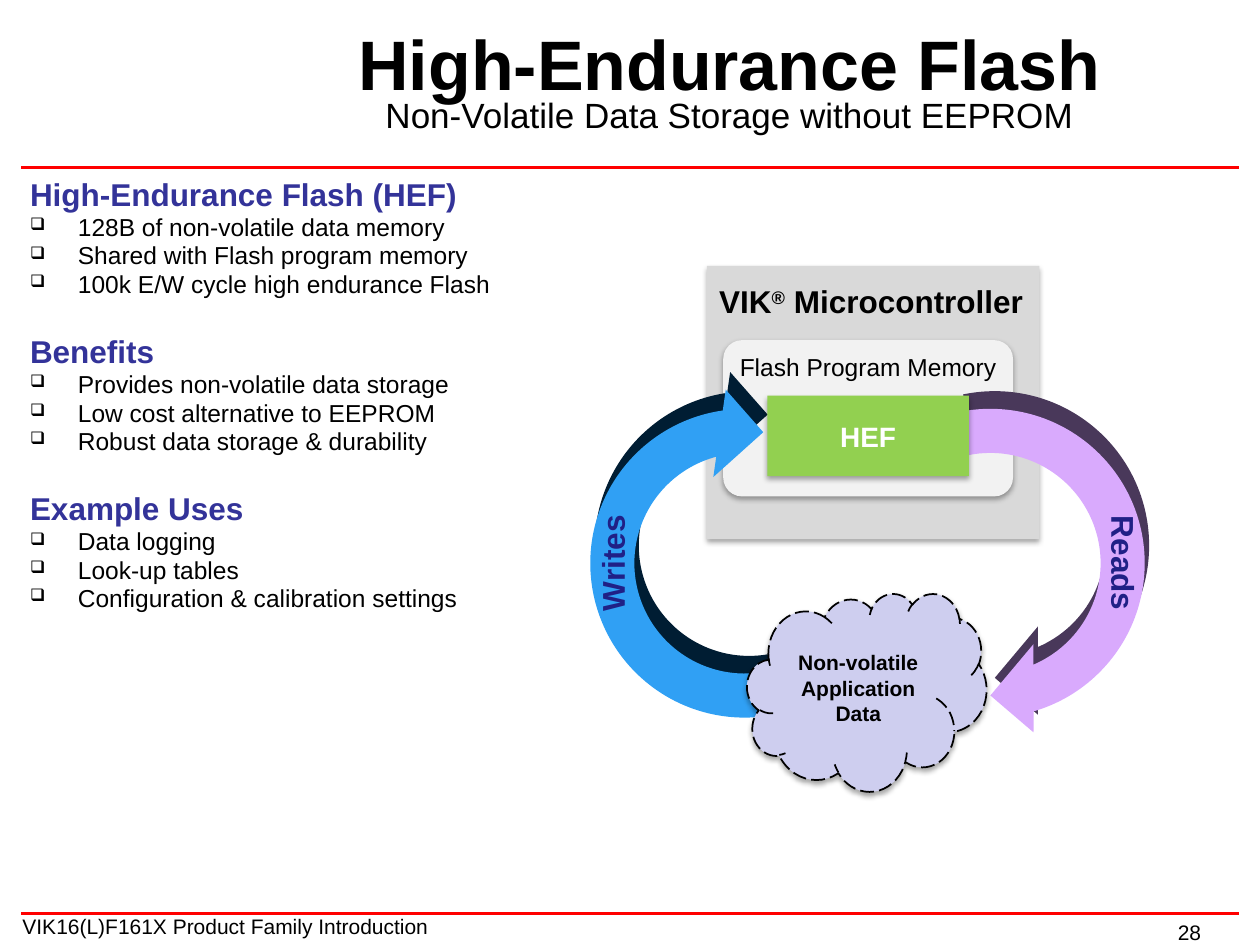
from lxml import etree
from pptx import Presentation
from pptx.dml.color import RGBColor
from pptx.enum.dml import MSO_LINE
from pptx.enum.shapes import MSO_CONNECTOR, MSO_SHAPE
from pptx.enum.text import MSO_ANCHOR, PP_ALIGN
from pptx.oxml.ns import qn
from pptx.util import Inches, Pt

STRAIGHT = MSO_CONNECTOR.STRAIGHT
RECTANGLE, ROUNDED = MSO_SHAPE.RECTANGLE, MSO_SHAPE.ROUNDED_RECTANGLE
CIRCULAR_ARROW, CLOUD = MSO_SHAPE.CIRCULAR_ARROW, MSO_SHAPE.CLOUD
LONG_DASH = MSO_LINE.LONG_DASH
TOP, MIDDLE = MSO_ANCHOR.TOP, MSO_ANCHOR.MIDDLE
LEFT, CENTER = PP_ALIGN.LEFT, PP_ALIGN.CENTER

SECTIONS = [
    ("High-Endurance Flash (HEF)",
     ["128B of non-volatile data memory", "Shared with Flash program memory",
      "100k E/W cycle high endurance Flash"]),
    ("Benefits",
     ["Provides non-volatile data storage", "Low cost alternative to EEPROM",
      "Robust data storage & durability"]),
    ("Example Uses",
     ["Data logging", "Look-up tables", "Configuration & calibration settings"]),
]


def color(value):
    return RGBColor.from_string(value)


def inches(box):
    return [Inches(value) for value in box]


def style(font, size, fill="000000", bold=False):
    font.name, font.size, font.bold = "Arial", Pt(size), bold
    font.color.rgb = color(fill)


def add_effects(shape_properties, shadow=False):
    """Set the effect list: a soft shadow straight below, or nothing."""
    effects = etree.SubElement(shape_properties, qn("a:effectLst"))
    if shadow:
        outer = etree.SubElement(effects, qn("a:outerShdw"), blurRad=str(Pt(3.1)),
                                 dist=str(Pt(1.8)), dir="5400000", rotWithShape="0")
        black = etree.SubElement(outer, qn("a:srgbClr"), val="000000")
        etree.SubElement(black, qn("a:alpha"), val="35000")


def add_rule(page, y):
    rule = page.shapes.add_connector(STRAIGHT, *inches((0.17, y, 9.83, y)))
    rule.line.color.rgb = color("FF0000")
    rule.line.width = Pt(2)
    add_effects(rule._element.spPr)


def add_text(page, box, text, size, fill="000000", bold=False, align=LEFT, wrap=True):
    label = page.shapes.add_textbox(*inches(box))
    label.text_frame.word_wrap = wrap
    para = label.text_frame.paragraphs[0]
    para.text, para.alignment = text, align
    style(para.font, size, fill, bold)
    return label


def add_block(page, kind, box, fill, shadow=True):
    block = page.shapes.add_shape(kind, *inches(box))
    block.fill.solid()
    block.fill.fore_color.rgb = color(fill)
    block.line.fill.background()
    if shadow:
        add_effects(block._element.spPr, True)
    else:
        block.shadow.inherit = False
    return block


def fill_block(block, text, size, fill="000000", bold=False,
               anchor=MIDDLE, align=CENTER, insets=(0, 0.05)):
    frame = block.text_frame
    frame.word_wrap, frame.vertical_anchor = True, anchor
    frame.margin_left = frame.margin_right = Inches(insets[0])
    frame.margin_top = frame.margin_bottom = Inches(insets[1])
    para = frame.paragraphs[0]
    para.text, para.alignment = text, align
    style(para.font, size, fill, bold)
    return para


def add_title(page, box):
    title = page.shapes.title
    title.left, title.top, title.width, title.height = inches(box)
    title.text_frame.word_wrap = True
    title.text_frame.vertical_anchor = MIDDLE
    para = title.text_frame.paragraphs[0]
    para.alignment, para.line_spacing = CENTER, 0.75
    heading = para.add_run()
    heading.text = "High-Endurance Flash"
    style(heading.font, 40, bold=True)
    para.add_line_break()
    subtitle = para.add_run()
    subtitle.text = "Non-Volatile Data Storage without EEPROM"
    style(subtitle.font, 20)


def add_bullet(para):
    properties = para._p.get_or_add_pPr()
    properties.set("marL", str(Inches(0.38)))
    properties.set("indent", str(Inches(-0.38)))
    etree.SubElement(properties, qn("a:buSzPct"), val="70000")
    etree.SubElement(properties, qn("a:buChar"), char="❑")


def add_sections(page, box):
    frame = page.shapes.add_textbox(*inches(box)).text_frame
    frame.word_wrap = True
    for index, (heading, points) in enumerate(SECTIONS):
        para = frame.add_paragraph() if index else frame.paragraphs[0]
        para.text = heading
        para.space_before = Pt(19.5 if index else 0)
        style(para.font, 18, "333399", True)
        for point in points:
            para = frame.add_paragraph()
            para.text = point
            para.line_spacing, para.space_before = 0.8, Pt(2.8)
            add_bullet(para)
            style(para.font, 14)


def add_cycle_arrow(page, box, rotation, start, face, depth):
    """Draw a curved arrow over a darker one set back to give it depth."""
    left, top, width, height = box
    for shift, fill in ((0.14, depth), (0, face)):
        arrow = add_block(page, CIRCULAR_ARROW,
                          (left + shift / 4, top - shift, width, height), fill, False)
        for index, value in enumerate((0.125, 11.42, 204.58, start, 0.125)):
            arrow.adjustments[index] = value
        arrow.rotation = rotation


def add_arrow_label(page, box, text, rotation):
    label = add_text(page, box, text, 18, "202086", True, CENTER, wrap=False)
    label.rotation = rotation


def add_diagram(page, box):
    left, top = box[:2]

    def place(x, y, width, height):
        return left + x, top + y, width, height

    chip = add_block(page, RECTANGLE, place(1.1, 0, 2.64, 2.17), "D9D9D9")
    para = fill_block(chip, "VIK", 18, bold=True, anchor=TOP, align=LEFT,
                      insets=(0.1, 0.13))
    mark = para.add_run()
    mark.text = "®"
    mark.font._element.set("baseline", "30000")
    para.add_run().text = " Microcontroller"

    memory = add_block(page, ROUNDED, place(1.23, 0.59, 2.3, 1.24), "F2F2F2")
    memory.adjustments[0] = 0.12
    fill_block(memory, "Flash Program Memory", 14, anchor=TOP)

    add_cycle_arrow(page, place(0, 0.96, 2.8, 2.8), 278.1, 86.72, "30A0F4", "001D33")
    add_arrow_label(page, place(0.32, 1.31, 1.76, 2.1), "Writes", 270)
    add_cycle_arrow(page, place(1.95, 0.96, 2.8, 2.8), 90, 100.89, "D9AAFD", "49385A")
    add_arrow_label(page, place(2.68, 1.31, 1.76, 2.1), "Reads", 90)

    flash = add_block(page, RECTANGLE, place(1.58, 1.03, 1.6, 0.64), "92D050")
    fill_block(flash, "HEF", 16, "FFFFFF", True)

    cloud = add_block(page, CLOUD, place(1.42, 2.6, 1.9, 1.57), "CECEEF")
    cloud.line.color.rgb = color("000000")
    cloud.line.width = Pt(1)
    cloud.line.dash_style = LONG_DASH
    fill_block(cloud, "Non-volatile Application Data", 12, bold=True, insets=(0, 0))


def main():
    deck = Presentation()
    deck.slide_width, deck.slide_height = Inches(10), Inches(7.5)
    page = deck.slides.add_slide(deck.slide_layouts[5])
    for y in (1.33, 7.25):
        add_rule(page, y)
    add_text(page, (9.25, 7.25, 0.7, 0.3), "28", 12)
    add_text(page, (0.08, 7.2, 5.58, 0.3), "VIK16(L)F161X Product Family Introduction", 12)
    add_title(page, (2.08, 0.22, 7.42, 0.95))
    add_sections(page, (0.14, 1.34, 5.93, 3.6))
    add_diagram(page, (4.51, 2.11, 4.75, 4.17))
    deck.save("out.pptx")


if __name__ == "__main__":
    main()
